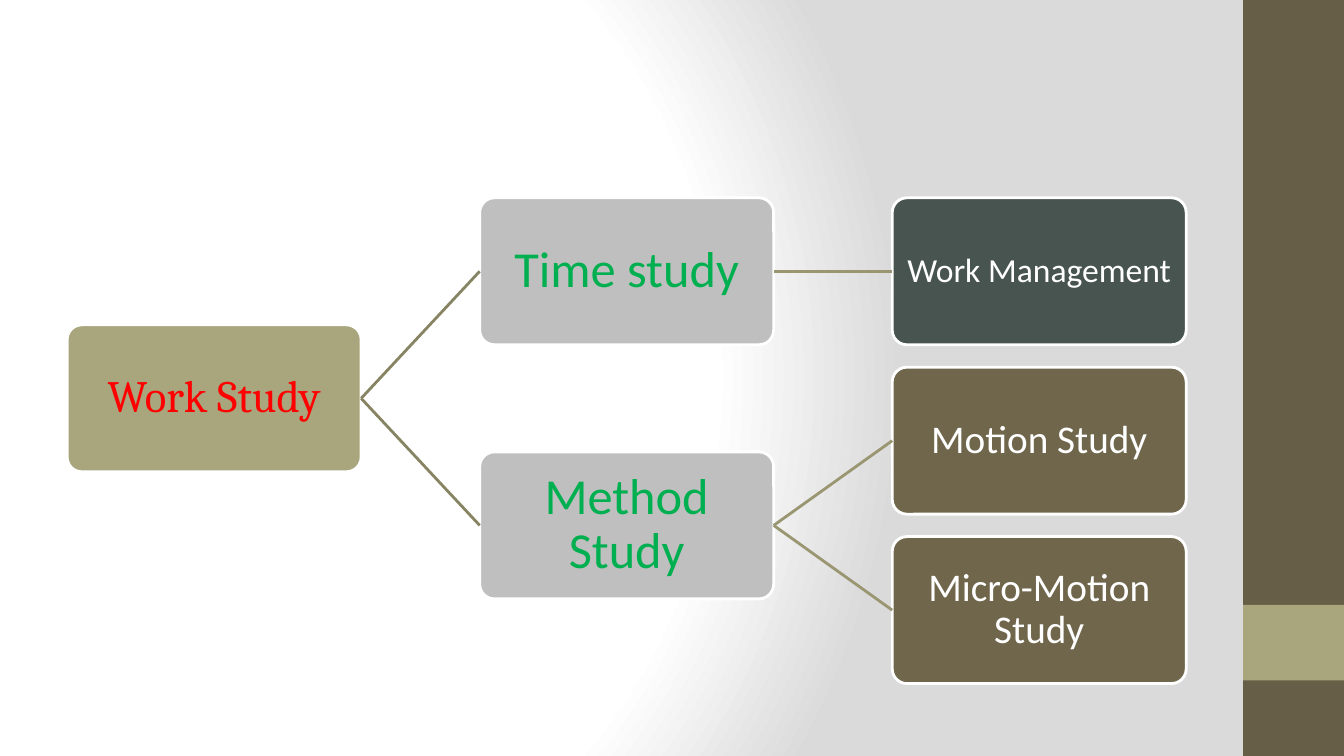
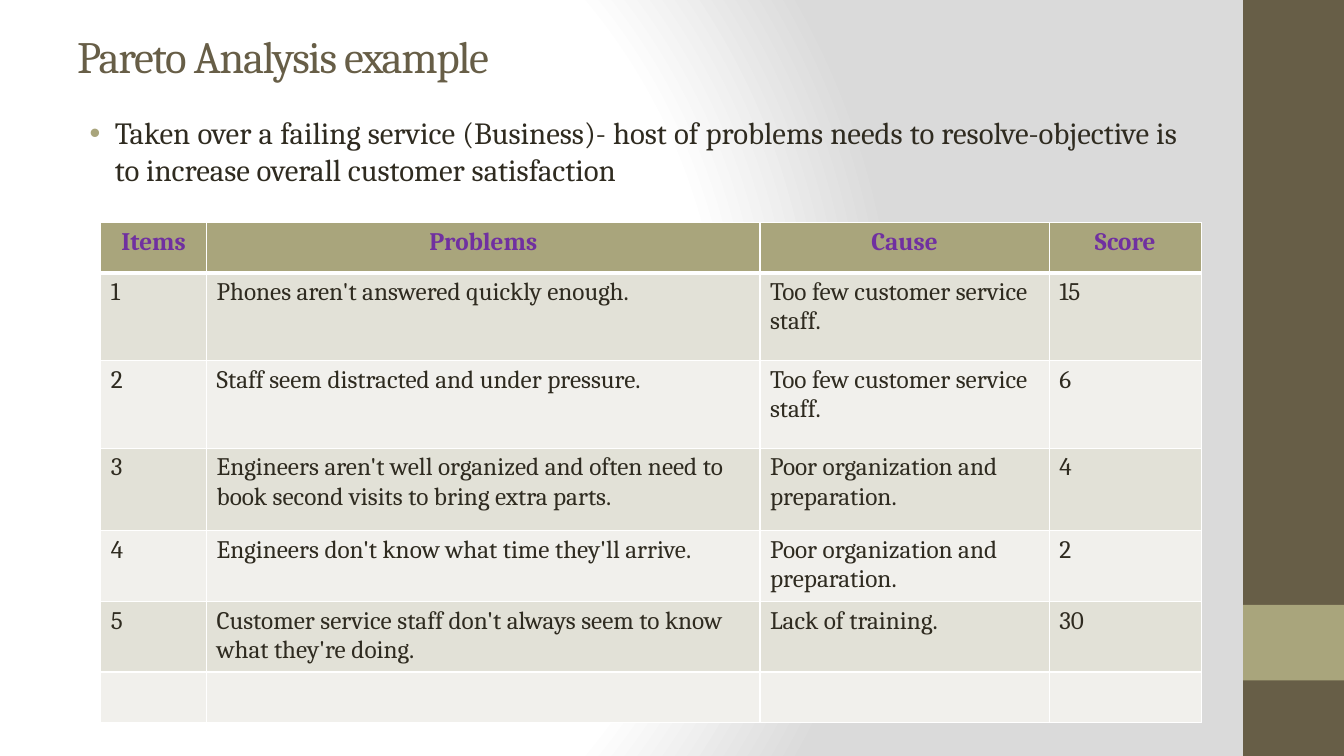
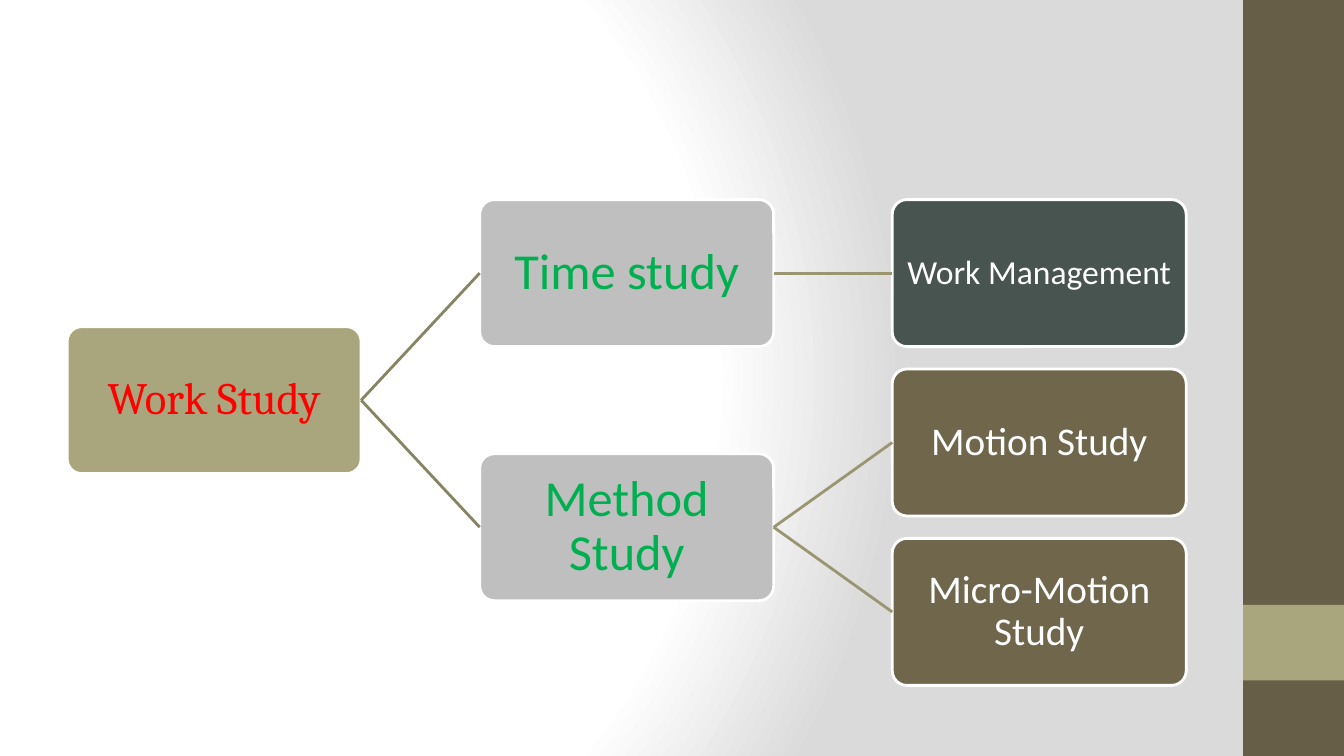
from dataclasses import dataclass

from pptx import Presentation
from pptx.dml.color import RGBColor
from pptx.enum.shapes import MSO_CONNECTOR, MSO_SHAPE
from pptx.enum.text import MSO_ANCHOR as Anchor, PP_ALIGN as Align
from pptx.oxml import parse_xml
from pptx.oxml.ns import nsdecls
from pptx.util import Pt

WHITE = RGBColor(0xFF, 0xFF, 0xFF)
INK = RGBColor(0x2F, 0x2B, 0x20)
BROWN = RGBColor(0x67, 0x5E, 0x47)
SAGE = RGBColor(0xA9, 0xA5, 0x7C)
SILVER = RGBColor(0xBF, 0xBF, 0xBF)
SLATE = RGBColor(0x48, 0x54, 0x4F)
UMBER = RGBColor(0x6F, 0x66, 0x4C)
RED = RGBColor(0xFF, 0x00, 0x00)
GREEN = RGBColor(0x00, 0xB0, 0x50)
PURPLE = RGBColor(0x70, 0x30, 0xA0)
FIRST_BRANCH = RGBColor(0x87, 0x84, 0x63)
SECOND_BRANCH = RGBColor(0x99, 0x96, 0x71)
ROW_DARK = RGBColor(0xE2, 0xE1, 0xD7)
ROW_LIGHT = RGBColor(0xF1, 0xF0, 0xEC)
HEADING, BODY = "Cambria", "Calibri"
BOX_WIDTH, BOX_HEIGHT = 210, 105
COLUMN_STEP, ROW_STEP = 294.67, 121


@dataclass
class Node:
    text: str
    fill: RGBColor
    color: RGBColor
    size: int
    font: str = BODY
    children: tuple = ()


WORK_STUDY = Node("Work Study", SAGE, RED, 32, HEADING, (
    Node("Time study", SILVER, GREEN, 36, children=(
        Node("Work Management", SLATE, WHITE, 24),)),
    Node("Method Study", SILVER, GREEN, 36, children=(
        Node("Motion Study", UMBER, WHITE, 28),
        Node("Micro-Motion Study", UMBER, WHITE, 28))),
))

PARETO_ROWS = [
    ("Items", "Problems", "Cause", "Score"),
    ("1", "Phones aren't answered quickly enough.", "Too few customer service staff.", "15"),
    ("2", "Staff seem distracted and under pressure.", "Too few customer service staff.", "6"),
    ("3", "Engineers aren't well organized and often need to book second visits to bring extra parts.",
     "Poor organization and preparation.", "4"),
    ("4", "Engineers don't know what time they'll arrive.", "Poor organization and preparation.", "2"),
    ("5", "Customer service staff don't always seem to know what they're doing.", "Lack of training.", "30"),
    ("", "", "", ""),
]


class Deck:
    """Builds slides that share one style."""

    def __init__(self):
        self.presentation = Presentation()
        self.presentation.slide_width, self.presentation.slide_height = Pt(960), Pt(540)
        self.slide = None
        self.set_background()

    def set_background(self):
        master = self.presentation.slide_master
        master.background.fill.solid()
        properties = master.element.xpath(".//p:bgPr")[0]
        stops = "".join(
            f'<a:gs pos="{position}"><a:srgbClr val="{color}"/></a:gs>'
            for position, color in ((0, "FFFFFF"), (75000, "FFFFFF"), (100000, "DADADA")))
        properties.replace(properties[0], parse_xml(
            f'<a:gradFill {nsdecls("a")} rotWithShape="1"><a:gsLst>{stops}</a:gsLst>'
            '<a:path path="circle"><a:fillToRect l="20000" t="50000" r="100000" b="50000"/>'
            '</a:path></a:gradFill>'))

    def add_slide(self):
        self.slide = self.presentation.slides.add_slide(self.presentation.slide_layouts[6])
        self.shape(MSO_SHAPE.RECTANGLE, 888, 0, 72, 540, BROWN)
        self.shape(MSO_SHAPE.RECTANGLE, 888, 432, 72, 54, SAGE)

    def shape(self, kind, left, top, width, height, fill):
        shape = self.slide.shapes.add_shape(kind, Pt(left), Pt(top), Pt(width), Pt(height))
        shape.shadow.inherit = False
        shape.fill.solid()
        shape.fill.fore_color.rgb = fill
        shape.line.fill.background()
        return shape

    def set_text(self, text_frame, text, size, color, font=HEADING, align=Align.LEFT, bold=False):
        text_frame.text = text
        text_frame.word_wrap = True
        paragraph = text_frame.paragraphs[0]
        paragraph.alignment = align
        for run in paragraph.runs:
            run.font.name, run.font.size, run.font.bold = font, Pt(size), bold
            run.font.color.rgb = color
        return paragraph

    def text_box(self, top, height):
        return self.slide.shapes.add_textbox(Pt(48), Pt(top), Pt(800), Pt(height)).text_frame

    def title(self, text):
        text_frame = self.text_box(13.5, 52.5)
        text_frame.vertical_anchor = Anchor.MIDDLE
        paragraph = self.set_text(text_frame, text, 32, BROWN)
        paragraph.runs[0].font._element.set("spc", "-100")

    def bullet(self, text):
        paragraph = self.set_text(self.text_box(78, 426), text, 22, INK, align=Align.JUSTIFY)
        properties = paragraph._p.get_or_add_pPr()
        properties.set("marL", str(Pt(27)))
        properties.set("indent", str(Pt(-18)))
        properties.append(parse_xml(f'<a:buClr {nsdecls("a")}><a:srgbClr val="{SAGE}"/></a:buClr>'))
        properties.append(parse_xml(f'<a:buFont {nsdecls("a")} typeface="Arial"/>'))
        properties.append(parse_xml(f'<a:buChar {nsdecls("a")} char="•"/>'))

    def box(self, node, left, top):
        box = self.shape(MSO_SHAPE.ROUNDED_RECTANGLE, left, top, BOX_WIDTH, BOX_HEIGHT, node.fill)
        box.adjustments[0] = 0.1
        box.line.color.rgb, box.line.width = WHITE, Pt(2)
        text_frame = box.text_frame
        text_frame.margin_left = text_frame.margin_right = Pt(2)
        text_frame.margin_top = text_frame.margin_bottom = Pt(2)
        text_frame.vertical_anchor = Anchor.MIDDLE
        paragraph = self.set_text(text_frame, node.text, node.size, node.color, node.font, Align.CENTER)
        paragraph.line_spacing = 0.9
        return box

    def branch(self, parent, child, color):
        connector = self.slide.shapes.add_connector(MSO_CONNECTOR.STRAIGHT, 0, 0, 0, 0)
        connector.begin_connect(parent, 3)
        connector.end_connect(child, 1)
        connector.line.color.rgb, connector.line.width = color, Pt(2)
        connector._element.spPr.append(parse_xml(f'<a:effectLst {nsdecls("a")}/>'))

    def tree(self, node, top, level=0):
        """Draws a node midway between its children and returns it with the next free top."""
        children, next_top = [], top
        for child in node.children:
            box, next_top = self.tree(child, next_top, level + 1)
            children.append(box)
        if children:
            top = (children[0].top + children[-1].top) / 2 / Pt(1)
        else:
            next_top = top + ROW_STEP
        parent = self.box(node, 48 + COLUMN_STEP * level, top)
        for child in children:
            self.branch(parent, child, SECOND_BRANCH if level else FIRST_BRANCH)
        return parent, next_top

    def cell(self, cell, text, row):
        header = row == 0
        properties = cell._tc.get_or_add_tcPr()
        widths = {"L": 1, "R": 1, "T": 3 if row == 1 else 1, "B": 3 if header else 1}
        for side, width in widths.items():
            properties.append(parse_xml(
                f'<a:ln{side} {nsdecls("a")} w="{Pt(width)}"><a:solidFill>'
                f'<a:srgbClr val="{WHITE}"/></a:solidFill></a:ln{side}>'))
        cell.fill.solid()
        cell.fill.fore_color.rgb = SAGE if header else ROW_DARK if row % 2 else ROW_LIGHT
        self.set_text(cell.text_frame, text, 18, PURPLE if header else INK,
                      align=Align.CENTER if header else Align.LEFT, bold=header)

    def table(self, rows, left, top, widths, heights):
        frame = self.slide.shapes.add_table(
            len(rows), len(widths), Pt(left), Pt(top), Pt(sum(widths)), Pt(sum(heights)))
        table = frame.table
        table.horz_banding = False
        for column, width in zip(table.columns, widths):
            column.width = Pt(width)
        for index, (row, height, texts) in enumerate(zip(table.rows, heights, rows)):
            row.height = Pt(height)
            for cell, text in zip(row.cells, texts):
                self.cell(cell, text, index)


def main():
    deck = Deck()
    deck.add_slide()
    deck.tree(WORK_STUDY, 141.3)

    deck.add_slide()
    deck.title("Pareto Analysis example")
    deck.bullet("Taken over a failing service (Business)- host of problems needs to "
                "resolve-objective is to increase overall customer satisfaction")
    deck.table(PARETO_ROWS, 72, 159, (75.6, 395.3, 206.6, 108.7), (36, 62.6, 62.6, 59, 36, 36, 36))

    deck.add_slide()
    deck.tree(WORK_STUDY, 142.6)
    deck.presentation.save("out.pptx")


if __name__ == "__main__":
    main()
